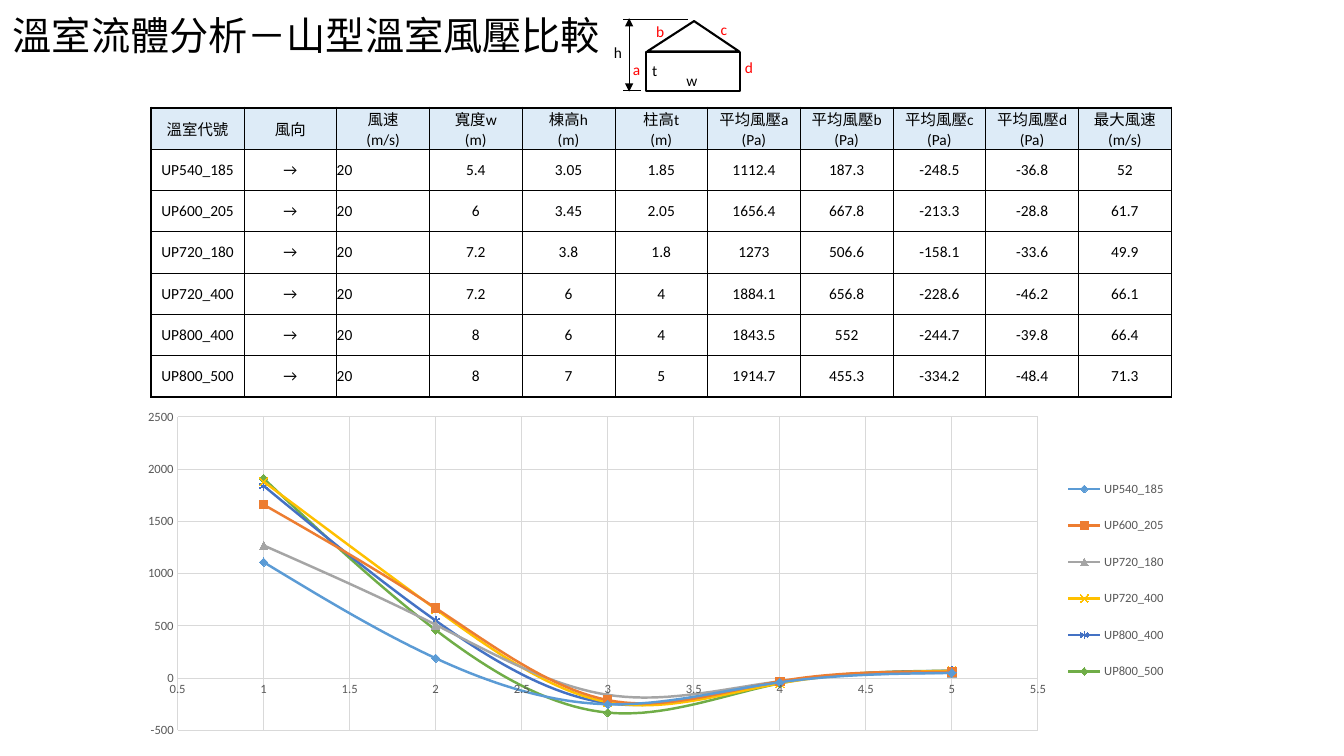
from lxml import etree
from pptx import Presentation
from pptx.chart.data import XyChartData
from pptx.dml.color import RGBColor
from pptx.enum.chart import XL_CHART_TYPE, XL_LEGEND_POSITION, XL_MARKER_STYLE, XL_TICK_MARK
from pptx.enum.shapes import MSO_CONNECTOR, MSO_SHAPE
from pptx.enum.text import MSO_ANCHOR, PP_ALIGN
from pptx.oxml import parse_xml
from pptx.oxml.ns import nsdecls, qn
from pptx.util import Inches, Pt

CENTER, LEFT = PP_ALIGN.CENTER, PP_ALIGN.LEFT
MIDDLE, BOTTOM = MSO_ANCHOR.MIDDLE, MSO_ANCHOR.BOTTOM
RECTANGLE, ROOF = MSO_SHAPE.RECTANGLE, MSO_SHAPE.ISOSCELES_TRIANGLE
NO_TICK = XL_TICK_MARK.NONE
DIAMOND, SQUARE, TRIANGLE = XL_MARKER_STYLE.DIAMOND, XL_MARKER_STYLE.SQUARE, XL_MARKER_STYLE.TRIANGLE
CROSS, STAR = XL_MARKER_STYLE.X, XL_MARKER_STYLE.STAR
BLACK, RED, GRAY, GRID = "000000", "FF0000", "595959", "D9D9D9"


def color(value):
    return RGBColor.from_string(value)


def style_font(font, size, value):
    font.name = "Calibri"
    font.size = Pt(size)
    font.color.rgb = color(value)


prs = Presentation()
prs.slide_width, prs.slide_height = Inches(13.33), Inches(7.5)
s = prs.slides.add_slide(prs.slide_layouts[6])

title = s.shapes.add_textbox(Inches(0.01), Inches(0.41), Inches(6.06), Inches(0.22))
tf = title.text_frame
tf.word_wrap = True
tf.vertical_anchor = BOTTOM
p = tf.paragraphs[0]
p.text = "溫室流體分析－山型溫室風壓比較"
p.alignment = CENTER
p.line_spacing = 0.9
style_font(p.runs[0].font, 28, BLACK)

for kind, x, y, w, h in [
    (RECTANGLE, 6.41, 0.52, 0.93, 0.38),
    (ROOF, 6.42, 0.21, 0.91, 0.3),
]:
    sp = s.shapes.add_shape(kind, Inches(x), Inches(y), Inches(w), Inches(h))
    sp.shadow.inherit = False
    sp.fill.background()
    sp.line.color.rgb = color(BLACK)
    sp.line.width = Pt(1.5)
    if kind == ROOF:
        sp.adjustments[0] = 0.51

for label, x, y, w, h, value in [
    ("h", 5.99, 0.38, 0.26, 0.3, BLACK),
    ("b", 6.41, 0.17, 0.26, 0.3, RED),
    ("w", 6.71, 0.66, 0.29, 0.3, BLACK),
    ("t", 6.37, 0.56, 0.25, 0.29, BLACK),
    ("a", 6.18, 0.55, 0.26, 0.3, RED),
    ("c", 7.05, 0.15, 0.2, 0.27, RED),
    ("d", 7.29, 0.53, 0.22, 0.29, RED),
]:
    sp = s.shapes.add_textbox(Inches(x), Inches(y), Inches(w), Inches(h))
    sp.text_frame.text = label
    sp.text_frame.word_wrap = label in "cd"
    style_font(sp.text_frame.paragraphs[0].runs[0].font, 11, value)

for x1, y1, x2, y2, arrows in [
    (6.82, 0.19, 6.18, 0.19, False),
    (6.36, 0.9, 6.18, 0.9, False),
    (6.24, 0.18, 6.24, 0.91, True),
]:
    line = s.shapes.add_connector(MSO_CONNECTOR.STRAIGHT, Inches(x1), Inches(y1), Inches(x2), Inches(y2))
    line.line.color.rgb = color(BLACK)
    line.line.width = Pt(0.5)
    if arrows:
        ln = line.line._get_or_add_ln()
        for end in ("a:headEnd", "a:tailEnd"):
            etree.SubElement(ln, qn(end), type="triangle")
    etree.SubElement(line._element.spPr, qn("a:effectLst"))

headers = ["溫室代號", "風向", "風速\n(m/s)", "寬度w\n(m)", "棟高h\n(m)", "柱高t\n(m)"]
headers += [f"平均風壓{side}\n(Pa)" for side in "abcd"] + ["最大風速\n(m/s)"]
greenhouses = [
    ("UP540_185", 5.4, 3.05, 1.85, 1112.4, 187.3, -248.5, -36.8, 52),
    ("UP600_205", 6, 3.45, 2.05, 1656.4, 667.8, -213.3, -28.8, 61.7),
    ("UP720_180", 7.2, 3.8, 1.8, 1273, 506.6, -158.1, -33.6, 49.9),
    ("UP720_400", 7.2, 6, 4, 1884.1, 656.8, -228.6, -46.2, 66.1),
    ("UP800_400", 8, 6, 4, 1843.5, 552, -244.7, -39.8, 66.4),
    ("UP800_500", 8, 7, 5, 1914.7, 455.3, -334.2, -48.4, 71.3),
]
rows = [headers] + [(g[0], "→", 20) + g[1:] for g in greenhouses]
last = len(rows) - 1

table = s.shapes.add_table(len(rows), len(headers), Inches(1.5), Inches(1.07), Inches(10.12), Inches(2.87)).table
table.first_row = table.horz_banding = False
for col in table.columns:
    col.width = Inches(0.92)
for i, row in enumerate(rows):
    table.rows[i].height = Inches(0.41)
    for j, value in enumerate(row):
        cell = table.cell(i, j)
        cell.margin_left = cell.margin_right = cell.margin_top = cell.margin_bottom = 0
        cell.vertical_anchor = MIDDLE
        p = cell.text_frame.paragraphs[0]
        p.text = str(value)
        p.alignment = LEFT if i and j == 2 else CENTER
        for r in p.runs:
            style_font(r.font, 11, BLACK)
        tcPr = cell._tc.get_or_add_tcPr()
        for side, thick in [("L", j == 0), ("R", False), ("T", i == 0), ("B", i == last)]:
            tcPr.append(parse_xml(
                f'<a:ln{side} {nsdecls("a")} w="{Pt(2 if thick else 0.5)}">'
                f'<a:solidFill><a:srgbClr val="{BLACK}"/></a:solidFill></a:ln{side}>'))
        if i == 0:
            cell.fill.solid()
            cell.fill.fore_color.rgb = color("DDEBF7")
        else:
            cell.fill.background()

data = XyChartData()
for name, *values in greenhouses:
    series = data.add_series(name)
    for x, y in enumerate(values[3:], 1):
        series.add_data_point(x, int(round(y, -1)))
chart = s.shapes.add_chart(XL_CHART_TYPE.XY_SCATTER_SMOOTH, Inches(1.37), Inches(4.03),
                           Inches(10.6), Inches(3.32), data).chart
style_font(chart.font, 10, BLACK)
chart.has_title = False
chart.has_legend = True
chart.legend.position = XL_LEGEND_POSITION.RIGHT
chart.legend.include_in_layout = False
style_font(chart.legend.font, 9, GRAY)

for axis, low, high, step in [(chart.category_axis, 0.5, 5.5, 0.5), (chart.value_axis, -500, 2500, 500)]:
    axis.minimum_scale, axis.maximum_scale, axis.major_unit = low, high, step
    axis.major_tick_mark = axis.minor_tick_mark = NO_TICK
    axis.has_major_gridlines = True
    style_font(axis.tick_labels.font, 9, GRAY)
    axis.tick_labels.number_format = "General"
    axis.tick_labels.number_format_is_linked = False
    for fmt in (axis.format, axis.major_gridlines.format):
        fmt.line.color.rgb = color(GRID)
        fmt.line.width = Pt(0.75)

plot = chart.plots[0]
plot.vary_by_categories = False
styles = [("5B9BD5", DIAMOND), ("ED7D31", SQUARE), ("A5A5A5", TRIANGLE),
          ("FFC000", CROSS), ("4472C4", STAR), ("70AD47", DIAMOND)]
for series, (value, shape) in zip(plot.series, styles):
    series._element.get_or_add_smooth().val = True
    series.format.line.color.rgb = color(value)
    series.format.line.width = Pt(1.75)
    marker = series.marker
    marker.style, marker.size = shape, 6
    marker.format.line.color.rgb = color(value)
    if shape in (CROSS, STAR):
        marker.format.fill.background()
    else:
        marker.format.fill.solid()
        marker.format.fill.fore_color.rgb = color(value)

plot_area = chart._chartSpace.chart.plotArea
legend = chart.legend._element
for part, index, target, box in [
    (plot_area, 0, [("layoutTarget", "inner")], (0.037, 0.032, 0.805, 0.937)),
    (legend, 1, [], (0.86, 0.16, 0.11, 0.72)),
]:
    for old in part.findall(qn("c:layout")):
        part.remove(old)
    layout = etree.Element(qn("c:layout"))
    manual = etree.SubElement(layout, qn("c:manualLayout"))
    modes = target + [("xMode", "edge"), ("yMode", "edge")]
    for tag, value in modes + list(zip("xywh", box)):
        etree.SubElement(manual, qn(f"c:{tag}"), val=str(value))
    part.insert(index, layout)

prs.save("out.pptx")
